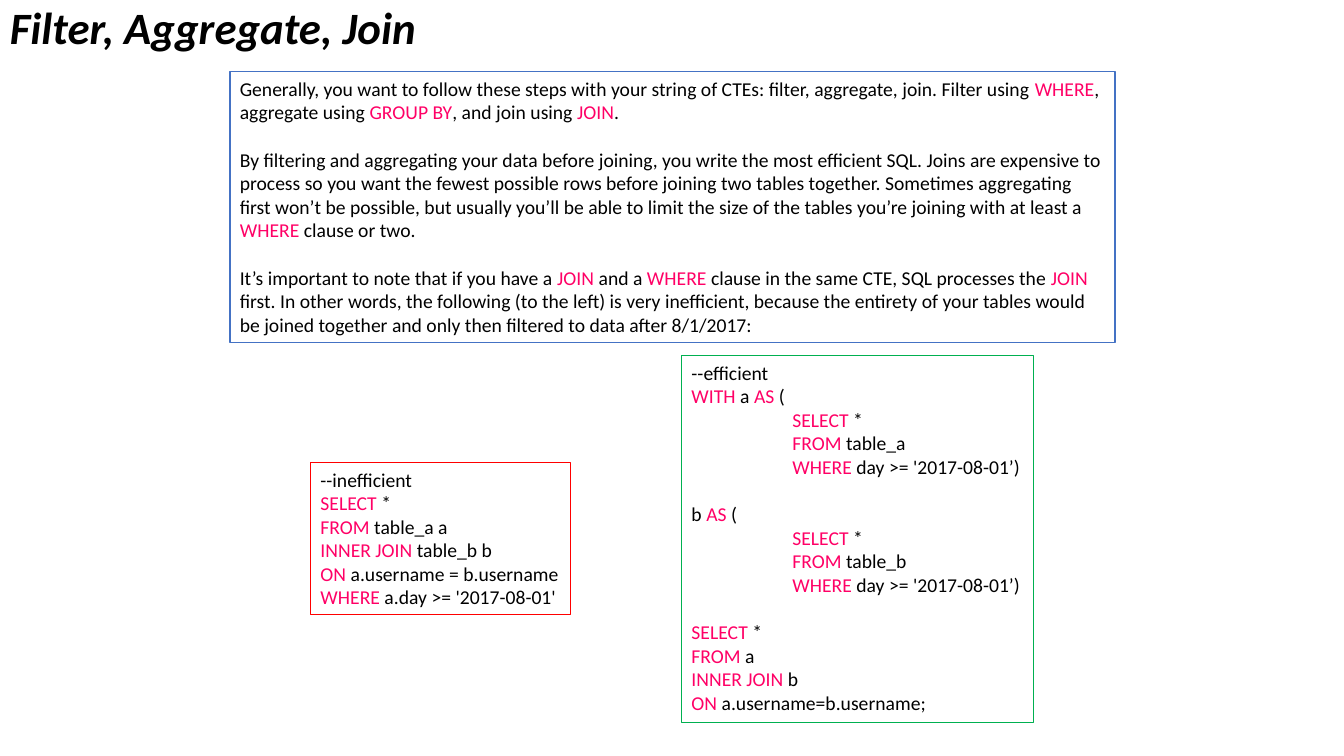
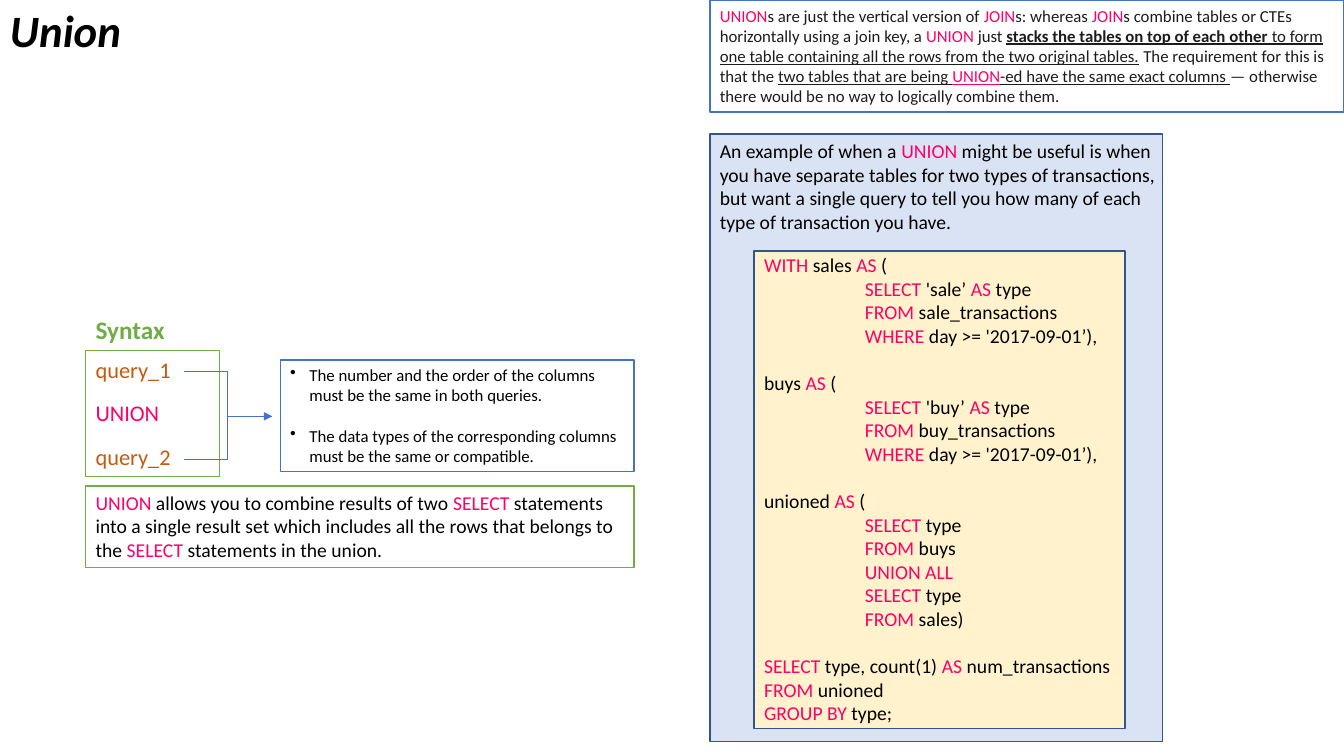
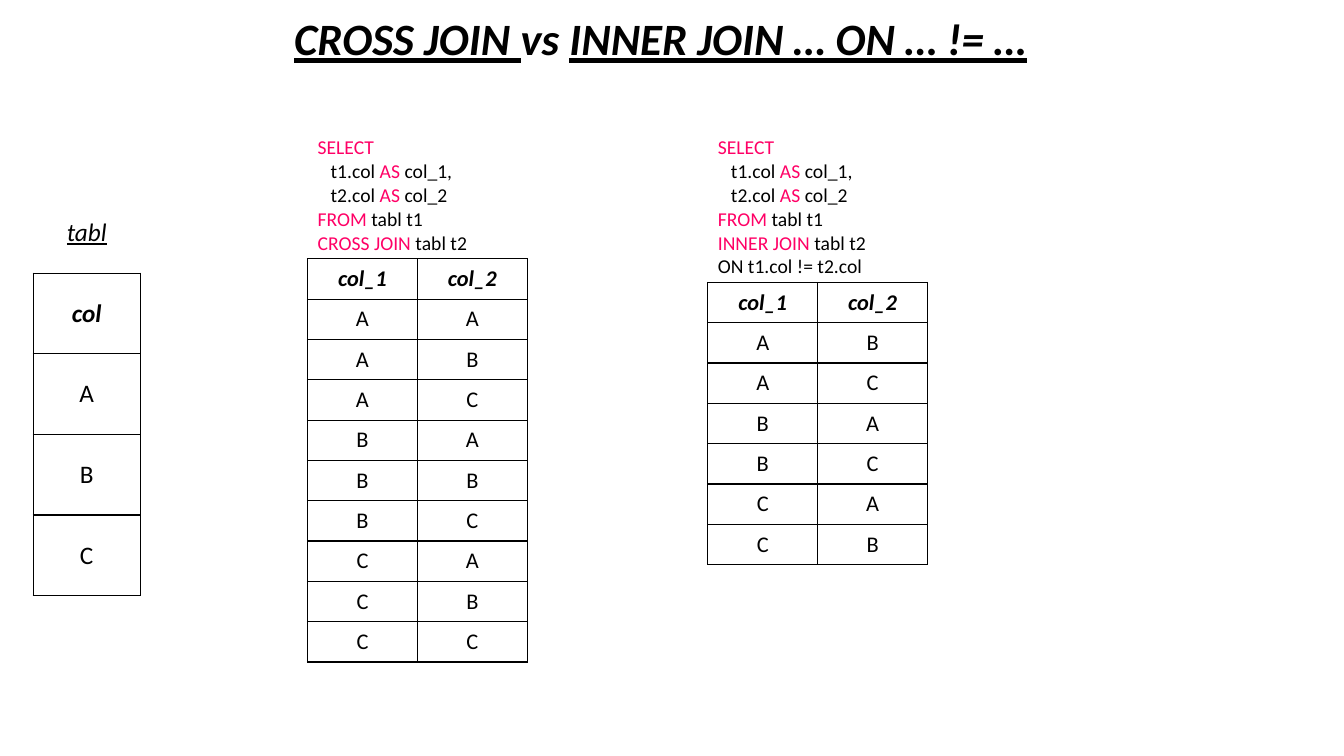
from dataclasses import dataclass

from lxml.etree import SubElement
from pptx import Presentation
from pptx.dml.color import RGBColor
from pptx.enum.shapes import MSO_CONNECTOR, MSO_SHAPE
from pptx.enum.text import MSO_ANCHOR, PP_ALIGN
from pptx.oxml import parse_xml
from pptx.oxml.ns import nsdecls, qn
from pptx.util import Inches, Pt


@dataclass(frozen=True)
class Theme:
    """Colours, font and type sizes shared by the slides."""
    font: str = "Calibri"
    ink: str = "000000"
    soft_ink: str = "1D1C1D"
    keyword: str = "FF0066"
    query: str = "C55A11"
    blue: str = "4472C4"
    navy: str = "325491"
    pale_blue: str = "DAE3F3"
    cream: str = "FFF2CC"
    green: str = "70AD47"
    good: str = "00B050"
    bad: str = "FF0000"
    paper: str = "FFFFFF"
    title: int = 32
    heading: int = 18
    large: int = 16
    body: int = 14
    small: int = 12
    line_height: float = 1.22


THEME = Theme()
MARKS = {"|": "keyword", "~": "underline", "^": "bold"}


def rgb(code):
    """Turn a hex code into a colour."""
    return RGBColor.from_string(code)


def split_styles(line):
    """Yield (text, active styles); | marks keywords, ~ underline, ^ bold."""
    active, text = frozenset(), ""
    for char in line:
        if char in MARKS:
            if text:
                yield text, active
            active, text = active ^ {MARKS[char]}, ""
        else:
            text += char
    if text:
        yield text, active


def write(frame, lines, size=THEME.body, color=THEME.ink, bold=False, italic=False,
          align=None, indent=1, after=None, spacing=None):
    """Write marked lines: '' leaves a gap, a leading > indents, a line feed breaks."""
    paragraph, gap = None, 0
    for line in lines:
        if not line:
            gap = size * THEME.line_height
            continue
        paragraph = frame.paragraphs[0] if paragraph is None else frame.add_paragraph()
        paragraph.alignment = align
        paragraph.line_spacing = spacing
        if gap:
            paragraph.space_before = Pt(gap)
            gap = 0
        if after:
            paragraph.space_after = Pt(after)
        if line.startswith(">"):
            paragraph._p.get_or_add_pPr().set("marL", str(Inches(indent)))
            line = line[1:]
        for text, styles in split_styles(line):
            for number, piece in enumerate(text.split("\n")):
                if number:
                    paragraph.add_line_break()
                run = paragraph.add_run()
                run.text = piece
                run.font.name, run.font.size = THEME.font, Pt(size)
                run.font.bold = bold or "bold" in styles
                run.font.italic = italic
                run.font.underline = "underline" in styles
                run.font.color.rgb = rgb(THEME.keyword if "keyword" in styles else color)


def add_text(slide, box, lines, wrap=True, anchor=MSO_ANCHOR.TOP, **style):
    """Place an unframed text in box."""
    frame = slide.shapes.add_textbox(*map(Inches, box)).text_frame
    frame.word_wrap, frame.vertical_anchor = wrap, anchor
    write(frame, lines, **style)


def add_panel(slide, box, line, fill=None, weight=1, lines=(), wrap=True,
              anchor=MSO_ANCHOR.TOP, **style):
    """Place a framed rectangle in box, with text if given; return its frame."""
    panel = slide.shapes.add_shape(MSO_SHAPE.RECTANGLE, *map(Inches, box))
    panel.shadow.inherit = False
    panel.line.color.rgb, panel.line.width = rgb(line), Pt(weight)
    if fill:
        panel.fill.solid()
        panel.fill.fore_color.rgb = rgb(fill)
    else:
        panel.fill.background()
    frame = panel.text_frame
    frame.word_wrap, frame.vertical_anchor = wrap, anchor
    write(frame, lines, align=PP_ALIGN.LEFT, **style)
    return frame


def add_title(slide, box, text):
    """Place the slide title in box."""
    add_text(slide, box, [text], anchor=MSO_ANCHOR.MIDDLE, size=THEME.title,
             bold=True, italic=True, spacing=0.9)


def add_bullets(frame):
    """Give every paragraph of frame a hanging bullet."""
    for paragraph in frame.paragraphs:
        properties = paragraph._p.get_or_add_pPr()
        properties.set("marL", str(Inches(0.19)))
        properties.set("indent", str(Inches(-0.19)))
        SubElement(properties, qn("a:buChar")).set("char", "•")


def add_elbow(slide, start, end, arrow=False):
    """Draw a bent line from start to end."""
    elbow = slide.shapes.add_connector(MSO_CONNECTOR.ELBOW, *map(Inches, start + end))
    elbow.line.color.rgb, elbow.line.width = rgb(THEME.blue), Pt(0.5)
    if arrow:
        SubElement(elbow.line._get_or_add_ln(), qn("a:tailEnd")).set("type", "triangle")
    SubElement(elbow._element.spPr, qn("a:effectLst"))


def set_borders(cell, sides):
    """Draw the named sides of cell and clear the others."""
    ink = f'<a:solidFill><a:srgbClr val="{THEME.ink}"/></a:solidFill>'
    for position, side in enumerate("LRTB"):
        paint = ink if side in sides else "<a:noFill/>"
        border = parse_xml(f'<a:ln{side} {nsdecls("a")} w="{Pt(1)}">{paint}</a:ln{side}>')
        cell._tc.get_or_add_tcPr().insert(position, border)


def add_result_table(slide, box, caption, header, rows, size, first_height,
                     row_height, caption_style):
    """Place a table in box: open caption row, header row, then value rows."""
    left, top, width = box
    column_count = len(header)
    height = first_height + row_height * (len(rows) + 1)
    table = slide.shapes.add_table(len(rows) + 2, column_count,
                                   *map(Inches, (left, top, width, height))).table
    for column in table.columns:
        column.width = Inches(width / column_count)
    for index, row in enumerate(table.rows):
        row.height = Inches(row_height if index else first_height)
        for cell in row.cells:
            cell.fill.solid()
            cell.fill.fore_color.rgb = rgb(THEME.paper)
            cell.vertical_anchor = MSO_ANCHOR.MIDDLE
            set_borders(cell, "LRTB" if index else "B")
    if column_count > 1:
        table.cell(0, 0).merge(table.cell(0, column_count - 1))
    write(table.cell(0, 0).text_frame, caption, **caption_style)
    for index, values in enumerate([header, *rows], start=1):
        for column, value in enumerate(values):
            write(table.cell(index, column).text_frame, [value], size=size,
                  align=PP_ALIGN.CENTER, bold=index == 1, italic=index == 1)


def add_join_table(slide, left, join_lines, pairs):
    """Place a query with its two-column result at left."""
    query = ["|SELECT |", ">t1.col |AS| col_1,", ">t2.col |AS| col_2",
             "|FROM |tabl t1 ", *join_lines]
    add_result_table(slide, (left, 1.3, 2.18), query, ["col_1", "col_2"], pairs,
                     THEME.large, 1.24, 0.4, {"indent": 0.13})


def add_syntax(slide, left, top):
    """Place the UNION syntax, its rules and its explanation from left, top."""
    query_top = top + 0.41
    add_panel(slide, (left, query_top, 1.33, 1.25), THEME.green,
              lines=["query_1", "|UNION|", "query_2"], size=THEME.large,
              color=THEME.query, after=12)
    add_text(slide, (left, top, 0.89, 0.4), ["Syntax"], wrap=False,
             size=THEME.heading, color=THEME.green, bold=True)
    add_panel(slide, (left, top + 1.75, 5.44, 0.81), THEME.green, THEME.paper, lines=[
        "|UNION| allows you to combine results of two |SELECT| statements into a single "
        "result set which includes all the rows that belongs to the |SELECT| statements "
        "in the union."])
    meeting = (left + 1.85, top + 1.06)
    for offset in (0.2, 1.08):
        add_elbow(slide, (left + 0.97, query_top + offset), meeting, arrow=offset == 0.2)
    rules = add_panel(slide, (left + 1.93, top + 0.5, 3.51, 1.11), THEME.blue, THEME.paper,
                      wrap=False, size=THEME.small, lines=[
        "The number and the order of the columns \nmust be the same in both queries.", "",
        "The data types of the corresponding columns \nmust be the same or compatible."])
    add_bullets(rules)


def add_union_example(slide, left, top):
    """Place the UNION example with its query from left, top."""
    add_panel(slide, (left, top, 4.49, 6.03), THEME.navy, THEME.pale_blue)
    add_panel(slide, (left + 0.44, top + 1.16, 3.68, 4.74), THEME.navy, THEME.cream)
    add_text(slide, (left, top, 4.62, 1.04), [
        "An example of when a |UNION| might be useful is when you have separate tables for "
        "two types of transactions, but want a single query to tell you how many of each "
        "type of transaction you have."])
    sources = []
    for name, kind in (("sales", "sale"), ("buys", "buy")):
        sources += [f"|{'WITH' if kind == 'sale' else ''}|{' ' if kind == 'sale' else ''}"
                    f"{name} |AS| (", f">|SELECT| '{kind}’ |AS| type",
                    f">|FROM |{kind}_transactions", ">|WHERE| day >= '2017-09-01’),", ""]
    add_text(slide, (left + 0.44, top + 1.13, 3.68, 4.81), sources + [
        "unioned |AS| (", ">|SELECT| type", ">|FROM| buys", ">|UNION ALL|",
        ">|SELECT| type", ">|FROM| sales)", "",
        "|SELECT| type, count(1) |AS |num_transactions", "|FROM |unioned",
        "|GROUP BY| type;"])


def build_filter_slide(slide):
    """Fill the slide on the order of filter, aggregate and join."""
    add_title(slide, (0, 0.02, 6.15, 0.55), "Filter, Aggregate, Join")
    add_panel(slide, (2.28, 0.71, 8.78, 2.69), THEME.blue, THEME.paper, lines=[
        "Generally, you want to follow these steps with your string of CTEs: filter, "
        "aggregate, join. Filter using |WHERE|, aggregate using |GROUP BY|, and join "
        "using |JOIN|. ", "",
        "By filtering and aggregating your data before joining, you write the most "
        "efficient SQL. Joins are expensive to process so you want the fewest possible "
        "rows before joining two tables together. Sometimes aggregating first won’t be "
        "possible, but usually you’ll be able to limit the size of the tables you’re "
        "joining with at least a |WHERE| clause or two.", "",
        "It’s important to note that if you have a |JOIN| and a |WHERE| clause in the "
        "same CTE, SQL processes the |JOIN| first. In other words, the following (to the "
        "left) is very inefficient, because the entirety of your tables would be joined "
        "together and only then filtered to data after 8/1/2017:"])
    add_panel(slide, (3.08, 4.59, 2.58, 1.51), THEME.bad, weight=0.75, wrap=False, lines=[
        "--inefficient", "|SELECT| *", "|FROM| table_a a", "|INNER JOIN |table_b b",
        "|ON| a.username = b.username", "|WHERE| a.day >= '2017-08-01'"])
    filtered = []
    for opening, name in (("|WITH| a| AS |(", "a"), ("b |AS| (", "b")):
        filtered += [opening, ">|SELECT| *", f">|FROM| table_{name}",
                     ">|WHERE| day >= '2017-08-01’)", ""]
    add_panel(slide, (6.76, 3.53, 3.49, 3.64), THEME.good, weight=0.75, wrap=False,
              lines=["--efficient", *filtered, "|SELECT| *", "|FROM| a",
                     "|INNER JOIN |b", "|ON| a.username=b.username;"])


def build_union_slide(slide):
    """Fill the slide on UNION."""
    add_title(slide, (0, 0.02, 5.31, 0.62), "Union")
    add_panel(slide, (7.04, 0, 6.29, 1.11), THEME.blue, THEME.paper,
              anchor=MSO_ANCHOR.MIDDLE, size=THEME.small, color=THEME.soft_ink, lines=[
        "|UNION|s are just the vertical version of |JOIN|s: whereas |JOIN|s combine tables "
        "or CTEs horizontally using a join key, a |UNION| just ~^stacks the tables on top "
        "of each other ^to form one table containing all the rows from the two original "
        "tables.~ The requirement for this is that the ~two tables that are being |UNION|"
        "-ed have the same exact columns ~— otherwise there would be no way to logically "
        "combine them."])
    add_union_example(slide, 7.04, 1.33)
    add_syntax(slide, 0.85, 3.07)


def build_cross_join_slide(slide):
    """Fill the slide comparing a cross join with an unequal inner join."""
    values = "ABC"
    add_result_table(slide, (0.33, 1.91, 1.06), ["~tabl~"], ["col"], values,
                     THEME.heading, 0.8, 0.8,
                     {"size": THEME.heading, "italic": True, "align": PP_ALIGN.CENTER})
    pairs = [(first, second) for first in values for second in values]
    add_join_table(slide, 3.05, ["|CROSS JOIN |tabl t2"], pairs)
    add_join_table(slide, 7.02, ["|INNER JOIN |tabl t2", "ON t1.col != t2.col"],
                   [(first, second) for first, second in pairs if first != second])
    add_title(slide, (2.82, 0.1, 7.7, 0.62), "~CROSS JOIN ~vs ~INNER JOIN … ON … != …~")


def main():
    """Build and save the presentation."""
    deck = Presentation()
    deck.slide_width, deck.slide_height = Inches(13.33), Inches(7.5)
    for build in (build_filter_slide, build_union_slide, build_cross_join_slide):
        build(deck.slides.add_slide(deck.slide_layouts[6]))
    deck.save("out.pptx")


main()
